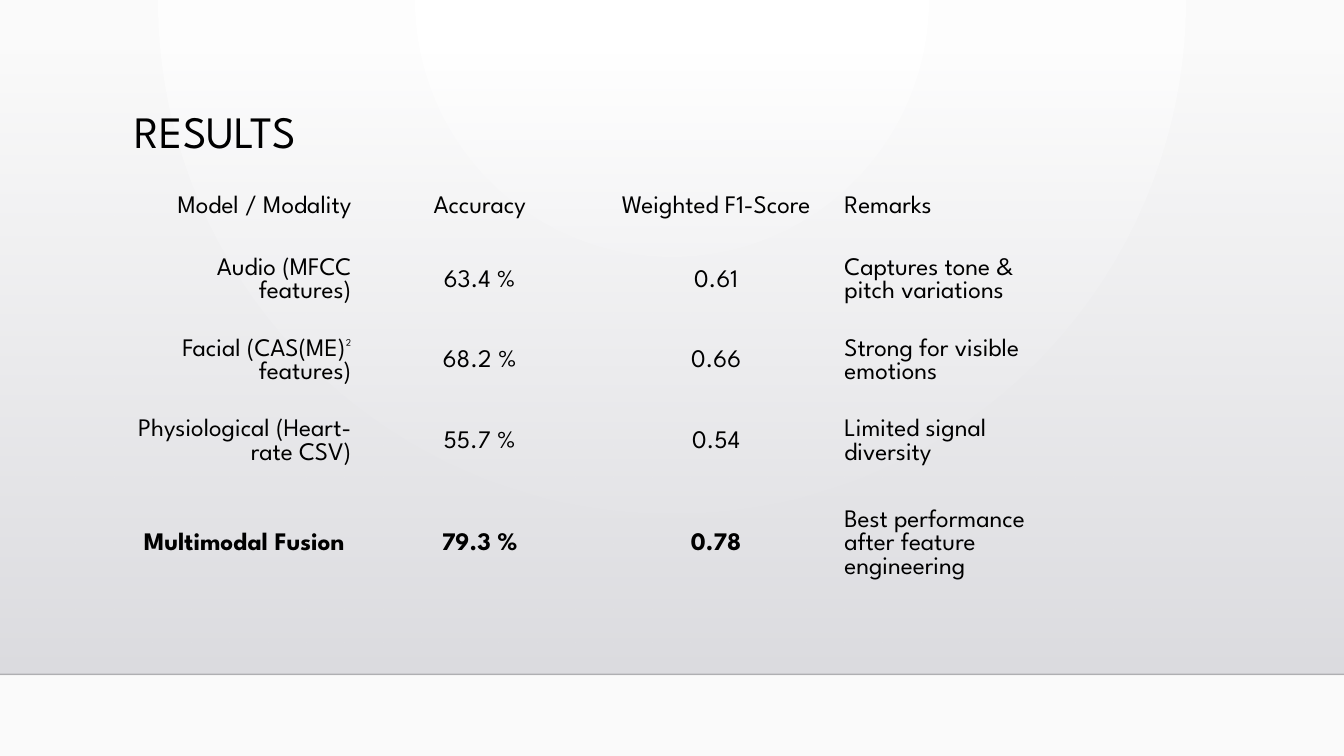
from lxml.etree import SubElement
from pptx import Presentation
from pptx.dml.color import RGBColor
from pptx.enum.shapes import MSO_CONNECTOR, MSO_SHAPE
from pptx.enum.text import MSO_ANCHOR, PP_ALIGN
from pptx.oxml.ns import qn
from pptx.util import Inches, Pt

COLORS = {
    "text": "000000",
    "rule": "000001",
    "glow": "FFFFFF",
    "edge": "FAFAFA",
    "shade_top": "DCDCE0",
    "shade_bottom": "DEDEE2",
}
PLAIN_TABLE_STYLE = "{2D5ABB26-0587-4C30-8999-92F81FD0307C}"


class SlideBuilder:
    def __init__(self, page, font_name):
        self.page = page
        self.font_name = font_name

    def color(self, name):
        return RGBColor.from_string(COLORS[name])

    def set_opacity(self, element, percent):
        color_node = next(element.iter(qn("a:srgbClr")))
        SubElement(color_node, qn("a:alpha")).set("val", str(percent * 1000))

    def gradient(self, fill, names):
        fill.gradient()
        for position, (stop, name) in enumerate(zip(fill.gradient_stops, names)):
            stop.color.rgb = self.color(name)
            stop.position = position

    def background(self, start, end):
        self.gradient(self.page.background.fill, (start, end))
        gradient = next(self.page.element.iter(qn("a:gradFill")))
        gradient.remove(gradient.find(qn("a:lin")))
        circle = SubElement(gradient, qn("a:path"))
        circle.set("path", "circle")
        center = SubElement(circle, qn("a:fillToRect"))
        for side, value in {"l": 43000, "r": 43000, "b": 100000}.items():
            center.set(side, str(value))

    def fading_panel(self, left, top, width, height, start, end):
        panel = self.page.shapes.add_shape(
            MSO_SHAPE.RECTANGLE, Inches(left), Inches(top), Inches(width), Inches(height))
        panel.shadow.inherit = False
        panel.line.fill.background()
        self.gradient(panel.fill, (start, end))
        panel.fill.gradient_angle = 270
        self.set_opacity(panel.element.spPr, 0)

    def rule(self, left, right, y, name, opacity):
        line = self.page.shapes.add_connector(
            MSO_CONNECTOR.STRAIGHT, Inches(left), Inches(y), Inches(right), Inches(y))
        line.line.width = Pt(1)
        line.line.color.rgb = self.color(name)
        self.set_opacity(line.element.spPr, opacity)
        SubElement(line.element.spPr, qn("a:effectLst"))

    def add_span(self, para, text, size, **format_values):
        span = para.add_run()
        span.text = text
        span.font.color.rgb = self.color("text")
        values = {"name": self.font_name, "size": Pt(size), **format_values}
        for name, value in values.items():
            setattr(span.font, name, value)

    def title(self, left, top, width, height, text):
        box = self.page.shapes.add_textbox(
            Inches(left), Inches(top), Inches(width), Inches(height))
        box.text_frame.word_wrap = True
        box.text_frame.vertical_anchor = MSO_ANCHOR.TOP
        para = box.text_frame.paragraphs[0]
        para.line_spacing = 0.9
        self.add_span(para, text, 32)

    def table(self, left, top, width, heights, rows, alignments):
        frame = self.page.shapes.add_table(
            len(rows), len(alignments), Inches(left), Inches(top),
            Inches(width), Inches(sum(heights)))
        next(frame.element.iter(qn("a:tableStyleId"))).text = PLAIN_TABLE_STYLE
        grid = frame.table
        grid.first_row = grid.horz_banding = False
        for row, height in zip(grid.rows, heights):
            row.height = Inches(height)
        for row_index, texts in enumerate(rows):
            for column, (text, alignment) in enumerate(zip(texts, alignments)):
                cell = grid.cell(row_index, column)
                cell.fill.background()
                cell.vertical_anchor = MSO_ANCHOR.MIDDLE
                para = cell.text_frame.paragraphs[0]
                para.alignment = alignment
                # The last row is bold except for its remark
                bold = row_index == len(rows) - 1 and column < len(texts) - 1
                self.add_span(para, text, 18, bold=bold)


def main():
    deck = Presentation()
    deck.slide_width, deck.slide_height = Inches(13.33), Inches(7.5)
    page = deck.slides.add_slide(deck.slide_layouts[6])
    builder = SlideBuilder(page, "League Spartan")

    # Backdrop
    builder.background("glow", "edge")
    builder.fading_panel(0, 0.51, 13.33, 6.18, "shade_top", "shade_bottom")
    builder.rule(0, 13.33, 6.69, "rule", 20)

    # Title
    builder.title(1.24, 1.04, 10.5, 1.15, "RESULTS")

    # Results table
    results = [
        ("Model / Modality", "Accuracy", "Weighted F1-Score", "Remarks"),
        ("Audio (MFCC features)", "63.4 %", "0.61", "Captures tone & pitch variations"),
        ("Facial (CAS(ME)² features)", "68.2 %", "0.66", "Strong for visible emotions"),
        ("Physiological (Heart-rate CSV)", "55.7 %", "0.54", "Limited signal diversity"),
        ("Multimodal Fusion ", "79.3 %", "0.78", "Best performance after feature engineering"),
    ]
    alignments = (PP_ALIGN.RIGHT, PP_ALIGN.CENTER, PP_ALIGN.CENTER, PP_ALIGN.LEFT)
    builder.table(1.24, 1.73, 9.38, (0.66, 0.8, 0.8, 0.8, 1.23), results, alignments)

    deck.save("out.pptx")


if __name__ == "__main__":
    main()
